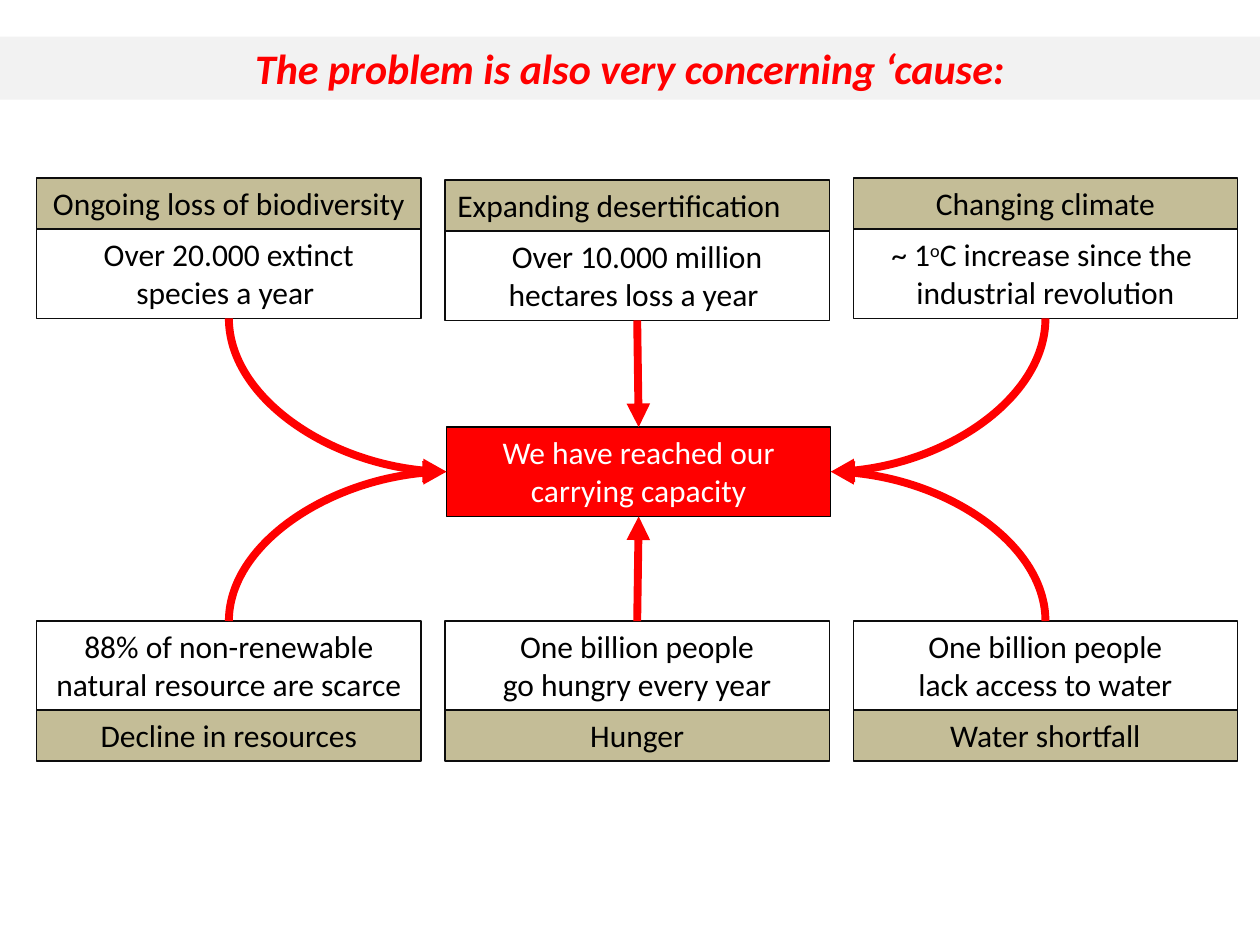
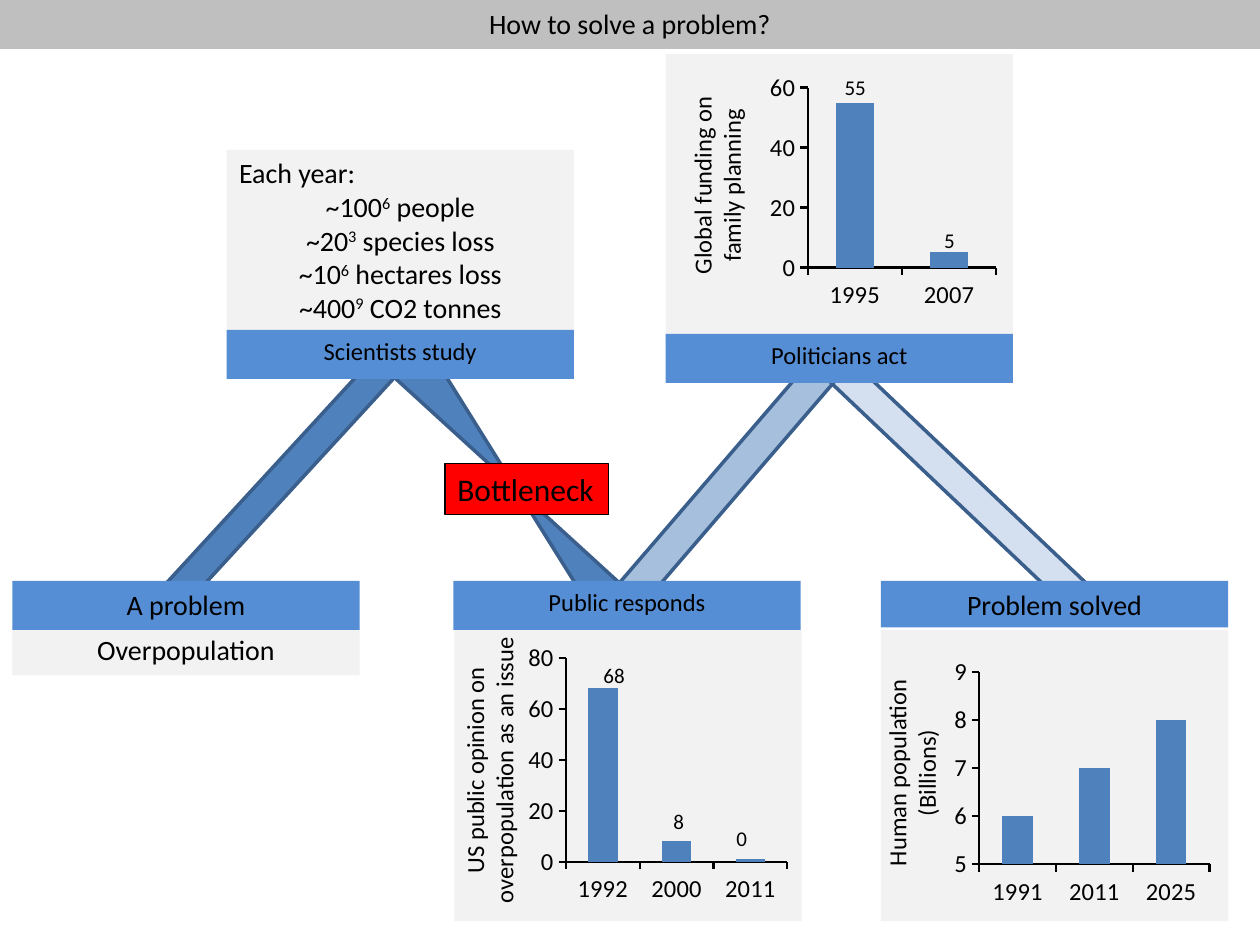
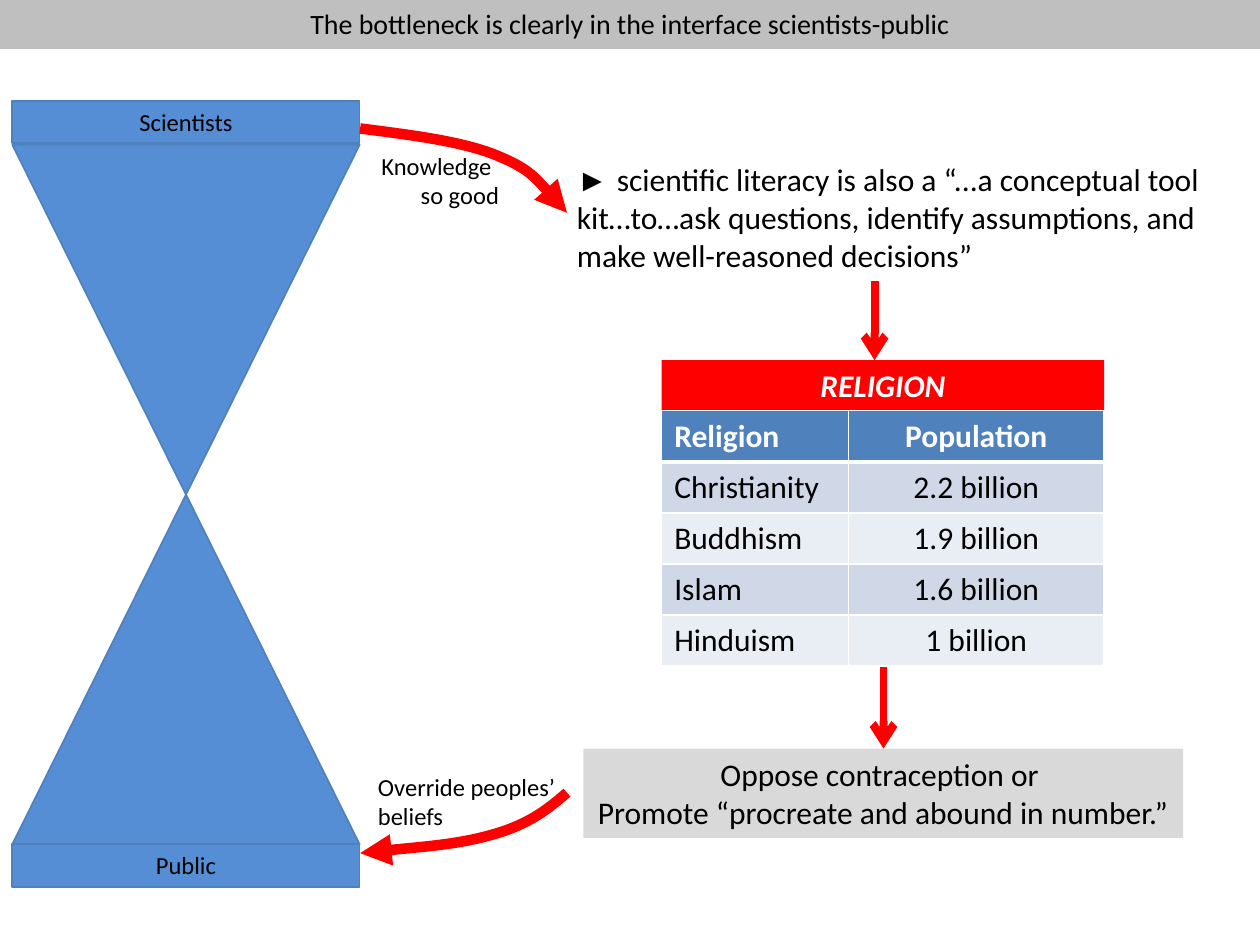
from pptx import Presentation
from pptx.chart.data import CategoryChartData
from pptx.dml.color import RGBColor
from pptx.enum.chart import XL_CHART_TYPE as CT, XL_TICK_MARK as TM
from pptx.enum.shapes import MSO_CONNECTOR as MC, MSO_SHAPE as MS
from pptx.enum.text import MSO_ANCHOR as MA, MSO_AUTO_SIZE as AS, PP_ALIGN as PA
from pptx.oxml import parse_xml
from pptx.oxml.ns import nsdecls, qn
from pptx.util import Cm, Pt
from lxml.etree import SubElement

BLACK, WHITE, RED = "000000", "FFFFFF", "FF0000"
TAN, PANEL, BAND, GREY = "C4BD97", "F2F2F2", "BFBFBF", "D9D9D9"
BLUE, LABEL, EDGE = "4F81BD", "558ED5", "3A5F8C"
ROWS = ("D0D8E8", "E9EDF4")
ALIGN = {"l": PA.LEFT, "c": PA.CENTER, "r": PA.RIGHT}
TOP, LEFT, BOTTOM, RIGHT = range(4)


def rgb(value):
    return RGBColor.from_string(value)


def solid(color):
    return f'<a:solidFill><a:srgbClr val="{color}"/></a:solidFill>'


class Deck:
    font = "Calibri"

    def __init__(self, width, height):
        self.prs = Presentation()
        self.prs.slide_width, self.prs.slide_height = Cm(width), Cm(height)
        self.width = width

    def new_slide(self):
        self.shapes = self.prs.slides.add_slide(self.prs.slide_layouts[6]).shapes

    def style(self, r, size, color=BLACK, bold=False, italic=False, font=None):
        f = r.font
        f.name, f.size, f.bold, f.italic = font or self.font, Pt(size), bold, italic
        f.color.rgb = rgb(color)

    def put_text(self, tf, text, size, align="c", anchor=MA.TOP, wrap=True, **look):
        tf.word_wrap, tf.vertical_anchor = wrap, anchor
        tf.auto_size = AS.SHAPE_TO_FIT_TEXT
        for i, line in enumerate(text.split("\n")):
            p = tf.paragraphs[0] if i == 0 else tf.add_paragraph()
            p.alignment = ALIGN[align[min(i, len(align) - 1)]]
            for n, part in enumerate(line.split("^")):
                r = p.add_run()
                r.text = part
                self.style(r, size, **look)
                if n % 2:
                    r.font._element.set("baseline", "30000")

    def shape(self, x, y, w, h, fill=None, line=None, weight=0.75, kind=MS.RECTANGLE,
              rotation=0, alpha=None, text=None, size=16, **look):
        s = self.shapes.add_shape(kind, Cm(x), Cm(y), Cm(w), Cm(h))
        s.shadow.inherit = False
        s.rotation = rotation
        if fill:
            s.fill.solid()
            s.fill.fore_color.rgb = rgb(fill)
        else:
            s.fill.background()
        if alpha:
            tint = next(s.element.spPr.iter(qn("a:srgbClr")))
            SubElement(tint, qn("a:alpha")).set("val", str(alpha * 1000))
        if line:
            self.stroke(s, line, weight)
        else:
            s.line.fill.background()
        if text:
            self.put_text(s.text_frame, text, size, **look)
        return s

    def text(self, x, y, w, h, text, size, rotation=0, **look):
        s = self.shapes.add_textbox(Cm(x), Cm(y), Cm(w), Cm(h))
        s.rotation = rotation
        self.put_text(s.text_frame, text, size, **look)
        return s

    def title(self, text):
        self.shape(0, 0, self.width, 0.97, BAND, BAND, text=text)

    def stroke(self, s, color, weight, **ends):
        s.line.color.rgb = rgb(color)
        s.line.width = Pt(weight)
        ln = s.element.spPr.find(qn("a:ln"))
        for end, kind in ends.items():
            SubElement(ln, qn(f"a:{end}End")).set("type", kind)

    def arrow(self, x1, y1, x2, y2, kind=MC.STRAIGHT, **ends):
        s = self.shapes.add_connector(kind, Cm(x1), Cm(y1), Cm(x2), Cm(y2))
        self.stroke(s, RED, 4.5, **ends)
        SubElement(s.element.spPr, qn("a:effectLst"))
        return s

    def link(self, target, side, card, card_side):
        straight = side in (TOP, BOTTOM)
        s = self.arrow(0, 0, 1, 1, MC.STRAIGHT if straight else MC.CURVE, head="triangle")
        s.begin_connect(target, side)
        s.end_connect(card, card_side)
        if not straight:
            s.element.spPr.find(qn("a:prstGeom")).set("prst", "curvedConnector2")

    def curve(self, points, **ends):
        points = [(Cm(x), Cm(y)) for x, y in points]
        builder = self.shapes.build_freeform(*points[0])
        builder.add_line_segments(points[1:], close=False)
        s = builder.convert_to_shape()
        s.shadow.inherit = False
        s.fill.background()
        outline = next(s.element.iter(qn("a:path")))
        lines = outline.findall(qn("a:lnTo"))
        for i in range(0, len(lines), 3):
            bend = SubElement(outline, qn("a:cubicBezTo"))
            for step in lines[i:i + 3]:
                bend.append(step[0])
                outline.remove(step)
        self.stroke(s, RED, 6, **ends)

    def chart(self, x, y, w, h, cats, vals, scale, plot=None):
        data = CategoryChartData()
        data.categories = cats
        data.add_series("Series 1", vals)
        chart = self.shapes.add_chart(CT.COLUMN_CLUSTERED, Cm(x), Cm(y), Cm(w), Cm(h), data).chart
        chart.has_legend = chart.has_title = False
        chart.font.name, chart.font.size = self.font, Pt(18)
        chart.font.color.rgb = rgb(BLACK)
        bars = chart.plots[0]
        bars.gap_width, bars.vary_by_categories = 150, False
        bars.series[0].format.fill.solid()
        bars.series[0].format.fill.fore_color.rgb = rgb(BLUE)
        for axis in (chart.category_axis, chart.value_axis):
            axis.has_major_gridlines = False
            axis.major_tick_mark, axis.minor_tick_mark = TM.OUTSIDE, TM.NONE
            axis.tick_labels.font.size = Pt(14)
            axis.format.line.color.rgb = rgb(BLACK)
            axis.format.line.width = Pt(1.25)
        axis.minimum_scale, axis.maximum_scale, axis.major_unit = scale
        space = chart._chartSpace
        space.find(qn("c:txPr")).addprevious(parse_xml(
            f'<c:spPr {nsdecls("c", "a")}>{solid(PANEL)}<a:ln><a:noFill/></a:ln></c:spPr>'))
        if plot:
            area = next(space.iter(qn("c:plotArea")))
            for old in area.findall(qn("c:layout")):
                area.remove(old)
            layout = SubElement(area, qn("c:layout"))
            area.insert(0, layout)
            manual = SubElement(layout, qn("c:manualLayout"))
            values = dict(layoutTarget="inner", xMode="edge", yMode="edge",
                          **dict(zip("xywh", plot)))
            for tag, value in values.items():
                SubElement(manual, qn(f"c:{tag}")).set("val", str(value))

    def table(self, x, y, widths, row_height, rows):
        t = self.shapes.add_table(len(rows), len(widths), Cm(x), Cm(y), Cm(sum(widths)),
                                  Cm(row_height * len(rows))).table
        for column, width in zip(t.columns, widths):
            column.width = Cm(width)
        for i, row in enumerate(rows):
            t.rows[i].height = Cm(row_height)
            for j, value in enumerate(row):
                cell = t.cell(i, j)
                cell.fill.solid()
                cell.fill.fore_color.rgb = rgb(ROWS[(i - 1) % 2] if i else BLUE)
                p = cell.text_frame.paragraphs[0]
                p.text = value
                p.alignment = ALIGN["lc"[j]]
                self.style(p.runs[0], 18, BLACK if i else WHITE, bold=i == 0)
                for n, side in enumerate("LRTB"):
                    weight = 3 if (i, side) in ((0, "B"), (1, "T")) else 1
                    cell._tc.get_or_add_tcPr().insert(n, parse_xml(
                        f'<a:ln{side} {nsdecls("a")} w="{Pt(weight)}">{solid(WHITE)}</a:ln{side}>'))


def concerns(d):
    d.new_slide()
    width, head_h, body_h = 7.75, 1.03, 1.8
    upper = [
        ("Ongoing loss of biodiversity", "Over 20.000 extinct\nspecies a year ", 3.59, "c"),
        ("Expanding desertification", "Over 10.000 million\nhectares loss a year ", 3.63, "l"),
        ("Changing climate", "~ 1^o^C increase since the \nindustrial revolution", 3.59, "c"),
    ]
    lower = [
        ("Decline in resources", "88% of non-renewable natural resource are scarce"),
        ("Hunger", "One billion people\ngo hungry every year"),
        ("Water shortfall", "One billion people\nlack access to water"),
    ]

    def card(column, head, body, head_y, body_y, align="c"):
        x = 0.74 + 8.23 * column
        d.shape(x, head_y, width, head_h, TAN, "0D0D0D", text=head, size=18, align=align)
        return d.shape(x, body_y, width, body_h, None, "0D0D0D", text=body, size=18)

    tops = [card(i, head, body, y, y + head_h, align)
            for i, (head, body, y, align) in enumerate(upper)]
    bottoms = [card(i, head, body, 12.52 + body_h - 0.01, 12.52)
               for i, (head, body) in enumerate(lower)]
    center = d.shape(9, 8.61, width, body_h, RED, BLACK, size=18, color=WHITE,
                     text="We have reached our carrying capacity")
    for card_top, card_bottom, above, below in zip(tops, bottoms, (LEFT, TOP, RIGHT),
                                                   (LEFT, BOTTOM, RIGHT)):
        d.link(center, above, card_top, BOTTOM)
        d.link(center, below, card_bottom, TOP)
    d.shape(0, 0.74, d.width, 1.27, PANEL, text="The problem is also very concerning ‘cause:",
            size=24, anchor=MA.MIDDLE, color=RED, bold=True, italic=True)


def solving(d):
    d.new_slide()
    width = 7
    d.shape(4.57, 3.02, width, 3.68, PANEL, align="lc",
            text="Each year:\n~100^6^ people\n~20^3^ species loss\n"
                 "~10^6^ hectares loss\n~400^9^ CO2 tonnes")
    d.shape(0.25, 12.62, width, 0.99, PANEL, text="Overpopulation")
    panels = [
        ((13.42, 1.09), (14.78, 1.45, 5.36, 5.26), ("1995", "2007"), (55, 5), (0, 60, 20),
         (0.28, 0.06, 0.71, 0.69), (11.89, 3.02, 5.11), "Global funding on family planning"),
        ((17.76, 12.7), (19.13, 13.13, 5.36, 5.26), ("1991", "2011", "2025"), (6, 7, 8),
         (5, 9, 1), None, (15.82, 14.86, 5.11), "Human population\n(Billions)"),
        ((9.16, 12.7), (10.54, 12.85, 5.44, 5.49), ("1992", "2000", "2011"), (68, 8, 1),
         (0, 80, 20), None, (6.81, 14.81, 6.1),
         "US public opinion on overpopulation as an issue"),
    ]
    for corner, frame, cats, vals, scale, plot, (x, y, w), caption in panels:
        d.shape(*corner, width, 5.87, PANEL)
        d.chart(*frame, cats, vals, scale, plot)
        d.text(x, y, w, 1.44, caption, 14, rotation=270)
    for x, y, value in [(16.59, 1.37, "55"), (18.49, 4.47, "5"), (11.73, 13.23, "68"),
                        (13.03, 16.18, "8"), (14.3, 16.51, "0")]:
        d.text(x, y, 1.3, 0.77, value, 12)
    for x, y, w, h, rotation, alpha in [(15.67, 9.35, 7.14, 0.61, 223.5, 24),
                                        (11.4, 9.42, 6.48, 0.64, 310.7, 50),
                                        (2.11, 9.42, 7.04, 0.58, 312.6, None)]:
        d.shape(x, y, w, h, BLUE, EDGE, 2, MS.ROUNDED_RECTANGLE, rotation, alpha)
    d.shape(9.96, 6.6, 0.89, 6.5, BLUE, EDGE, 2, MS.FLOWCHART_COLLATE, 320.2)
    for x, y, h, label, size in [(0.25, 11.71, 0.99, "A problem", 16),
                                 (4.57, 6.65, 0.99, "Scientists study", 14),
                                 (13.42, 6.73, 0.99, "Politicians act", 14),
                                 (9.14, 11.71, 0.99, "Public responds", 14),
                                 (17.76, 11.71, 0.94, "Problem solved", 16)]:
        d.shape(x, y, width, h, LABEL, text=label, size=size)
    d.title("How to solve a problem?")
    d.shape(8.97, 9.35, 3.3, 1.03, RED, BLACK, text="Bottleneck", size=18, align="l", wrap=False)


def bottleneck(d):
    d.new_slide()
    d.title("The bottleneck is clearly in the interface scientists-public")
    d.shape(0.25, 2.92, 7, 14.1, LABEL, BLUE, 1, MS.FLOWCHART_COLLATE)
    for y, label in [(2.03, "Scientists"), (17.02, "Public")]:
        d.shape(0.25, y, 7, 0.86, LABEL, BLUE, 1, text=label, size=14)
    s = d.text(11.38, 3.1, 13.72, 2.57, "► ", 18, align="l", font="Arial")
    r = s.text_frame.paragraphs[0].add_run()
    r.text = ("scientific literacy is also a “...a conceptual tool kit…to…ask questions, "
              "identify assumptions, and make well-reasoned decisions”")
    d.style(r, 18)
    d.shape(13.34, 7.26, 8.92, 1.03, RED, text="RELIGION", size=18, color=WHITE,
            bold=True, italic=True)
    d.table(13.34, 8.28, (3.76, 5.16), 1.03,
            [("Religion", "Population"), ("Christianity", "2.2 billion"),
             ("Buddhism", "1.9 billion"), ("Islam", "1.6 billion"), ("Hinduism", "1 billion")])
    d.shape(11.76, 15.09, 12.09, 1.8, GREY, size=18,
            text="Oppose contraception or \nPromote “procreate and abound in number.”")
    for x, start, end in [(17.63, 5.66, 7.26), (17.81, 13.44, 15.09)]:
        d.arrow(x, start, x, end, tail="arrow")
    across = (7.26, 8.26, 9.27, 9.98, 10.67, 11.05, 11.43)
    d.curve(zip(across, (2.59, 2.72, 2.84, 3.12, 3.4, 3.84, 4.29)), tail="triangle")
    d.curve(zip(across, (17.2, 17.09, 17.02, 16.81, 16.61, 16.31, 15.98)), head="triangle")
    d.text(7.44, 2.92, 2.87, 1.44, "Knowledge\nso good", 14, align="lr")
    d.text(7.37, 15.44, 4.11, 1.44, "Override peoples’ beliefs", 14, align="l")


def main():
    d = Deck(25.4, 19.05)
    concerns(d)
    solving(d)
    bottleneck(d)
    d.prs.save("out.pptx")


if __name__ == "__main__":
    main()
